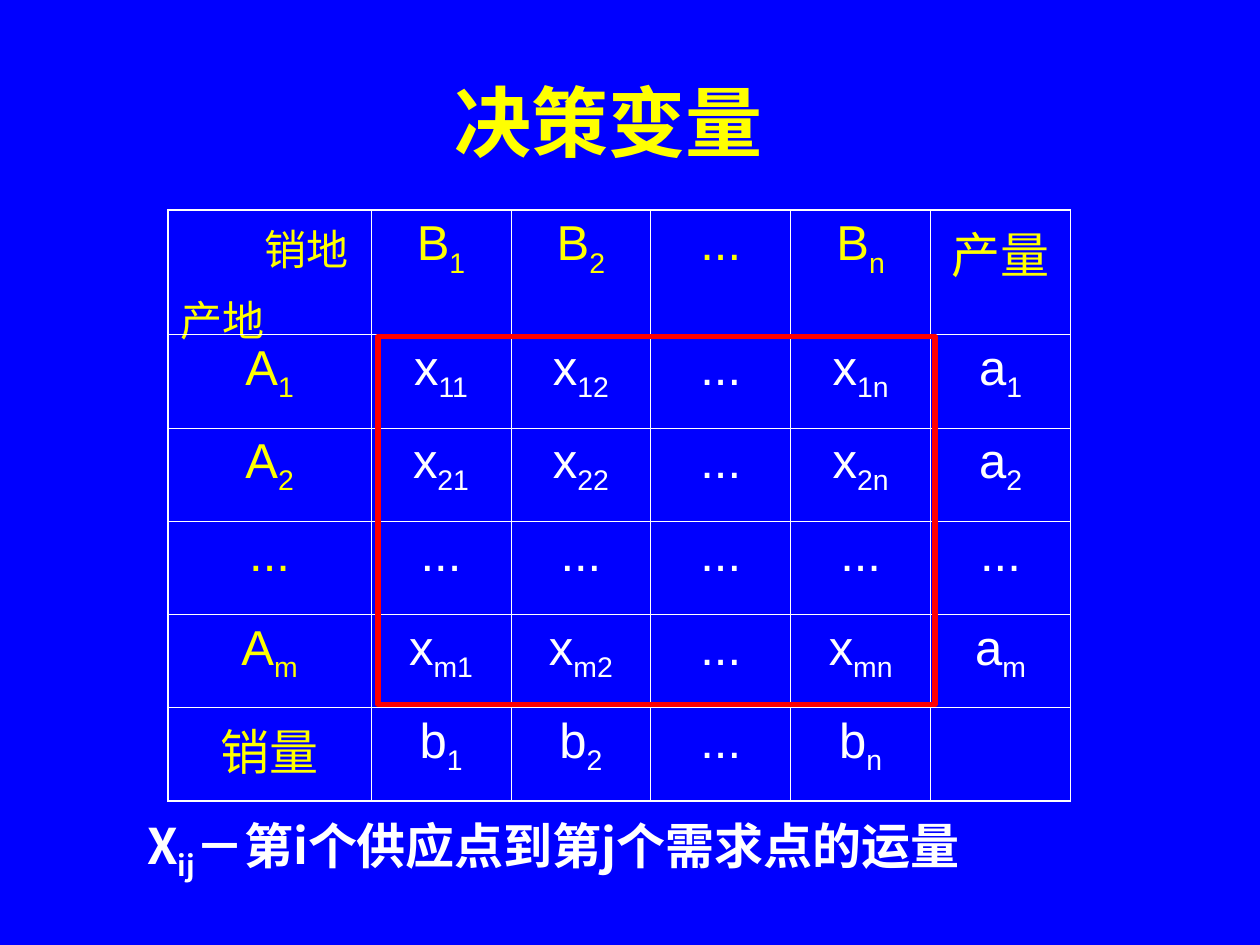
"""Build the decision variables slide of a transportation problem."""
from lxml.etree import SubElement
from pptx import Presentation
from pptx.dml.color import RGBColor
from pptx.enum.shapes import MSO_SHAPE as Shape
from pptx.enum.text import MSO_ANCHOR as Anchor, PP_ALIGN as Align
from pptx.oxml.ns import qn
from pptx.util import Cm, Pt

BLUE, YELLOW, WHITE, RED = "0000FF", "FFFF00", "FFFFFF", "FF0000"
SERIF, SANS, CJK = "Times New Roman", "Arial", "Noto Sans CJK SC"

TITLE = "决策变量"
CAPTION = "X_ij_－第i个供应点到第j个需求点的运量"
CORNER = [("销地", Align.RIGHT), ("产地", Align.LEFT)]
ROWS = [
    ["", "B_1", "B_2", "...", "B_n", "产量"],
    ["A_1", "x_11", "x_12", "...", "x_1n", "a_1"],
    ["A_2", "x_21", "x_22", "...", "x_2n", "a_2"],
    ["...", "...", "...", "...", "...", "..."],
    ["A_m", "x_m1", "x_m2", "...", "x_mn", "a_m"],
    ["销量", "b_1", "b_2", "...", "b_n", ""],
]
COL_WIDTHS = [4.09] + [2.82] * 5
ROW_HEIGHTS = [2.51] + [1.88] * 5
TABLE_LEFT, TABLE_TOP = 3.39, 4.24
THIN, THICK = 0.45, 1.08


def rgb(color):
    return RGBColor.from_string(color)


def add_runs(p, text, size, font, color, bold=False):
    for i, part in enumerate(text.split("_")):
        r = p.add_run()
        r.text = part
        r.font.size, r.font.name, r.font.bold = Pt(size), font, bold
        r.font.color.rgb = rgb(color)
        rpr = r.font._element
        SubElement(rpr, qn("a:ea"), typeface=CJK)
        if i % 2:
            rpr.set("baseline", "-25000")


def add_text(s, box, text, size, font, color, align, wrap):
    tf = s.shapes.add_textbox(*map(Cm, box)).text_frame
    tf.word_wrap = wrap
    tf.vertical_anchor = Anchor.MIDDLE if wrap else Anchor.TOP
    p = tf.paragraphs[0]
    p.alignment = align
    add_runs(p, text, size, font, color, True)


def set_borders(cell, widths):
    tcpr = cell._tc.get_or_add_tcPr()
    for i, (side, width) in enumerate(zip("LRTB", widths)):
        ln = tcpr.makeelement(qn(f"a:ln{side}"), w=str(Pt(width)))
        fill = SubElement(ln, qn("a:solidFill"))
        SubElement(fill, qn("a:srgbClr"), val=WHITE)
        tcpr.insert(i, ln)


def fill_corner(cell):
    cell.margin_right = Cm(0.46)
    tf = cell.text_frame
    for i, (text, align) in enumerate(CORNER):
        p = tf.add_paragraph() if i else tf.paragraphs[0]
        p.alignment = align
        if i:
            p.space_before = Pt(6)
        add_runs(p, text, 24, SERIF, YELLOW)


def add_grid(s):
    n_rows, n_cols = len(ROWS), len(COL_WIDTHS)
    box = TABLE_LEFT, TABLE_TOP, sum(COL_WIDTHS), sum(ROW_HEIGHTS)
    table = s.shapes.add_table(n_rows, n_cols, *map(Cm, box)).table
    table.first_row = table.horz_banding = False
    for col, width in zip(table.columns, COL_WIDTHS):
        col.width = Cm(width)
    for i, (row, height) in enumerate(zip(ROWS, ROW_HEIGHTS)):
        table.rows[i].height = Cm(height)
        for j, text in enumerate(row):
            cell = table.cell(i, j)
            cell.fill.background()
            edges = j == 0, j == n_cols - 1, i == 0, i == n_rows - 1
            set_borders(cell, [THICK if edge else THIN for edge in edges])
            if i == j == 0:
                fill_corner(cell)
            elif text:
                p = cell.text_frame.paragraphs[0]
                p.alignment = Align.CENTER
                font = SANS if text.isascii() else SERIF
                add_runs(p, text, 28, font, WHITE if i and j else YELLOW)


def main():
    prs = Presentation()
    prs.slide_width, prs.slide_height = Cm(25.4), Cm(19.05)
    s = prs.slides.add_slide(prs.slide_layouts[6])
    s.background.fill.solid()
    s.background.fill.fore_color.rgb = rgb(BLUE)
    add_text(s, (1.47, 0.84, 21.59, 3.18), TITLE, 44, SERIF, YELLOW, Align.CENTER, True)
    add_text(s, (2.72, 16.31, 18.06, 1.6), CAPTION, 28, CJK, WHITE, Align.LEFT, False)
    add_grid(s)
    sp = s.shapes.add_shape(Shape.RECTANGLE, Cm(7.62), Cm(6.78), Cm(11.23), Cm(7.42))
    sp.shadow.inherit = False
    sp.fill.background()
    sp.line.color.rgb = rgb(RED)
    sp.line.width = Pt(3)
    prs.save("out.pptx")


if __name__ == "__main__":
    main()
